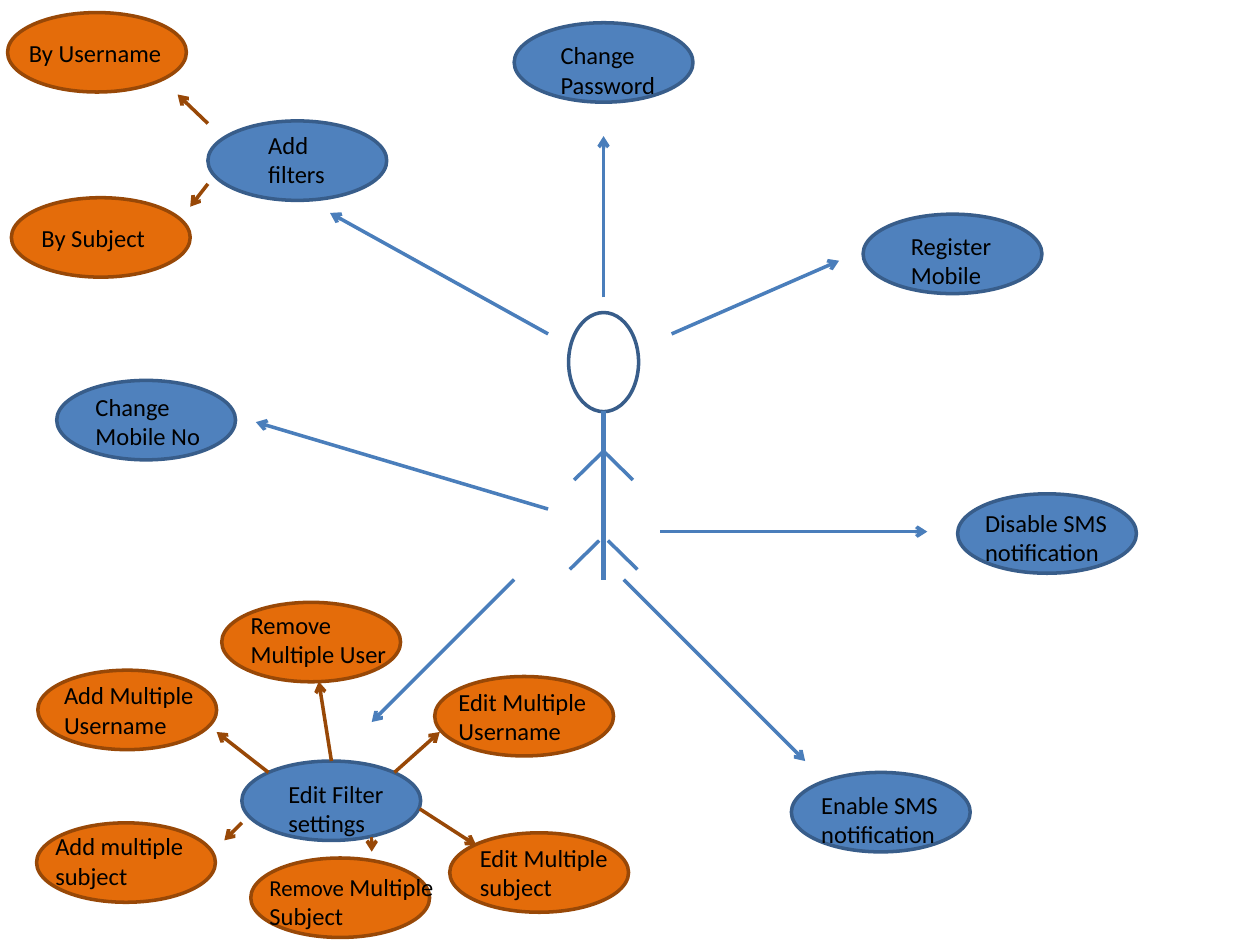
from lxml.etree import SubElement
from pptx import Presentation
from pptx.dml.color import RGBColor
from pptx.enum.shapes import MSO_CONNECTOR, MSO_SHAPE
from pptx.enum.text import MSO_ANCHOR, PP_ALIGN
from pptx.oxml.ns import qn
from pptx.util import Pt

COLORS = {
    "action": "4F81BD", "action_edge": "385D8A", "action_arrow": "4A7EBB",
    "option": "E46C0A", "option_edge": "984807", "option_arrow": "984807",
    "caption": "000000",
}
BUBBLE_WIDTH, BUBBLE_HEIGHT = 102.2, 45.4
ONE_LINE, TWO_LINES = 24.5, 41
OPTION_CAPTION = 92.2
ACTOR_X = 344.9

ACTIONS = [
    ("Register Mobile", (493.2, 122.4), (513.4, 128.2), 62.6),
    ("Change Password", (293.8, 13), (313.2, 19.4), 70.6),
    ("Change Mobile No", (32.4, 217.4), (47.5, 220.3), 90.7),
    ("Add filters", (118.8, 69.1), (146.2, 70.6), 62.6),
    ("Edit Filter settings", (138.2, 434.9), (157.7, 441.4), 82.1),
    ("Enable SMS notification", (452.2, 441.4), (462.2, 447.8), 102.2),
    ("Disable SMS notification", (547.2, 282.2), (555.8, 286.6), 102.2),
]
FILTER_KINDS = [
    ("By Username", (4.3, 7.2), (9.4, 18)),
    ("By Subject", (6.5, 113), (16.6, 123.8)),
]
FILTER_EDITS = [
    ("Add Multiple Username", (21.6, 383), (29.5, 385.2)),
    ("Add multiple subject", (20.9, 470.2), (24.5, 471.6)),
    ("Edit Multiple Username", (248.4, 386.6), (254.9, 388.8)),
    ("Edit Multiple subject", (257, 475.9), (267.1, 478.1)),
    ("Remove Multiple User", (126.7, 344.2), (136.1, 344.9)),
]
ACTION_ARROWS = [
    ((ACTOR_X, 169.9), (ACTOR_X, 77.8)),
    ((383.8, 190.8), (479.5, 149)),
    ((313.2, 190.8), (188.6, 121.7)),
    ((313.2, 290.9), (146.2, 241.2)),
    ((377.3, 303.8), (529.9, 303.8)),
    ((293.8, 331.2), (212.4, 412.6)),
    ((356.4, 331.2), (460.1, 434.9)),
]
OPTION_ARROWS = [
    ((118.8, 70.6), (101.5, 54)),
    ((118.8, 105.1), (108.7, 118.1)),
    ((153.4, 441.4), (123.8, 418.3)),
    ((138.2, 470.2), (128.2, 480.2)),
    ((225.4, 441.4), (251.3, 418.3)),
    ((239.8, 462.2), (272.2, 483.1)),
    ((189.4, 434.9), (182.2, 389.5)),
    ((212.4, 478.1), (212.4, 486.7)),
]


def rgb(name):
    return RGBColor.from_string(COLORS[name])


def add_ellipse(slide, corner, size, edge, fill=None):
    ellipse = slide.shapes.add_shape(MSO_SHAPE.OVAL, *map(Pt, (*corner, *size)))
    ellipse.shadow.inherit = False
    if fill:
        ellipse.fill.solid()
        ellipse.fill.fore_color.rgb = rgb(fill)
    else:
        ellipse.fill.background()
    ellipse.line.color.rgb = rgb(edge)
    ellipse.line.width = Pt(2)


def add_text(slide, *parts, corner, width, height=TWO_LINES, sizes=(14,),
             font="Calibri", color="caption"):
    caption = slide.shapes.add_textbox(*map(Pt, (*corner, width, height)))
    frame = caption.text_frame
    frame.word_wrap = True
    frame.vertical_anchor = MSO_ANCHOR.TOP
    paragraph = frame.paragraphs[0]
    paragraph.alignment = PP_ALIGN.LEFT
    for part, size in zip(parts, sizes):
        run = paragraph.add_run()
        run.text = part
        run.font.name = font
        run.font.size = Pt(size)
        run.font.color.rgb = rgb(color)


def add_bubble(slide, corner, role):
    add_ellipse(slide, corner, (BUBBLE_WIDTH, BUBBLE_HEIGHT), f"{role}_edge", role)


def add_line(slide, start, end, color, width=2, arrow=False):
    link = slide.shapes.add_connector(MSO_CONNECTOR.STRAIGHT, *map(Pt, (*start, *end)))
    link.line.color.rgb = rgb(color)
    link.line.width = Pt(width)
    if arrow:
        SubElement(link.line._get_or_add_ln(), qn("a:tailEnd"), type="arrow")
    SubElement(link._element.spPr, qn("a:effectLst"))


def add_actor(slide):
    add_ellipse(slide, (324.9, 178.6), (40, 56.6), "action_edge")
    add_line(slide, (ACTOR_X, 234.7), (ACTOR_X, 331.2), "action_arrow", width=3)
    for side in (-1, 1):
        for inner, top in ((0, 257.8), (2.5, 308.9)):
            start = (ACTOR_X + side * inner, top)
            end = (ACTOR_X + side * (inner + 16.8), top + 16.5)
            add_line(slide, start, end, "action_arrow")


def main():
    presentation = Presentation()
    presentation.slide_width, presentation.slide_height = Pt(720), Pt(540)
    slide = presentation.slides.add_slide(presentation.slide_layouts[6])

    add_actor(slide)
    for label, corner, text_corner, width in ACTIONS:
        add_bubble(slide, corner, "action")
        add_text(slide, label, corner=text_corner, width=width)
    for start, end in ACTION_ARROWS:
        add_line(slide, start, end, "action_arrow", arrow=True)

    for options, height in ((FILTER_KINDS, ONE_LINE), (FILTER_EDITS, TWO_LINES)):
        for label, corner, text_corner in options:
            add_bubble(slide, corner, "option")
            add_text(slide, label, corner=text_corner, width=OPTION_CAPTION, height=height)
    add_bubble(slide, (143.3, 490.3), "option")
    add_text(slide, "Remove", " Multiple Subject", corner=(146.9, 494.6),
             width=118.8, sizes=(13, 14))
    for start, end in OPTION_ARROWS:
        add_line(slide, start, end, "option_arrow", arrow=True)

    presentation.save("out.pptx")


if __name__ == "__main__":
    main()
